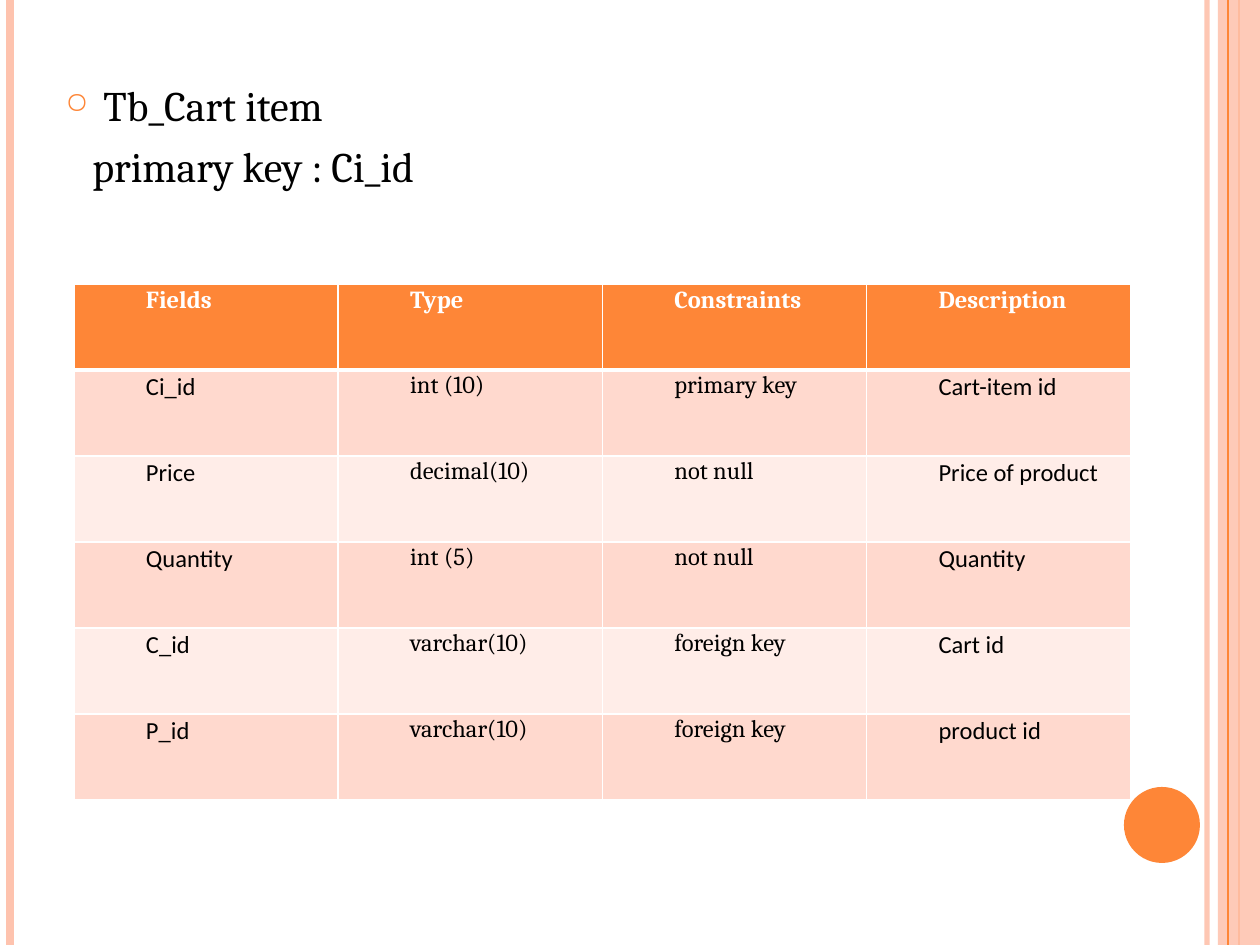
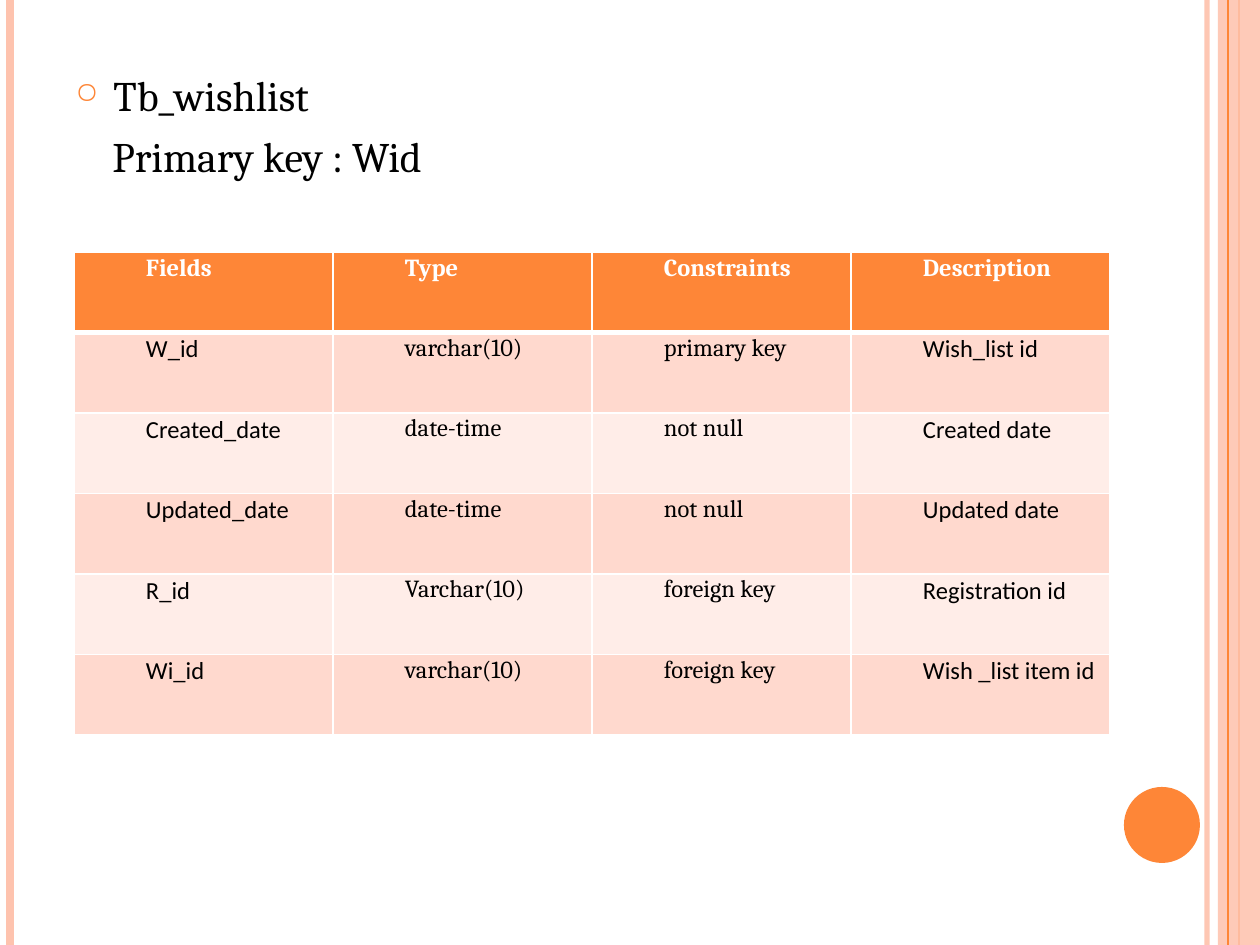
"""Build two slides describing the cart item and wishlist database tables."""
from lxml import etree
from pptx import Presentation
from pptx.dml.color import RGBColor
from pptx.enum.shapes import MSO_CONNECTOR, MSO_SHAPE
from pptx.enum.text import MSO_ANCHOR
from pptx.oxml.ns import qn
from pptx.util import Pt

LINE = MSO_CONNECTOR.STRAIGHT
RECT, OVAL = MSO_SHAPE.RECTANGLE, MSO_SHAPE.OVAL
TOP = MSO_ANCHOR.TOP

ORANGE = RGBColor(0xFE, 0x86, 0x37)
PEACH = RGBColor(0xFE, 0xC3, 0xAE)
BAND_DARK = RGBColor(0xFF, 0xD9, 0xCE)
BAND_LIGHT = RGBColor(0xFF, 0xED, 0xE8)
BLACK = RGBColor(0, 0, 0)
WHITE = RGBColor(0xFF, 0xFF, 0xFF)
SERIF, SANS = "Cambria", "Calibri"
COLUMN_FONTS = (SANS, SERIF, SERIF, SANS)

WIDTH, HEIGHT = 1260, 945
EMU_PER_PX = 914400 / 126
HEADER = ("Fields", "Type", "Constraints", "Description")

SLIDES = [
    {
        "heading": ("Tb_Cart item", "primary key : Ci_id"),
        "heading_box": (53, 73, 1029, 147),
        "key_indent": 27,
        "table_box": (74, 284, 1057, 516),
        "rows": [
            ("Ci_id", "int (10)", "primary key", "Cart-item id"),
            ("Price", "decimal(10)", "not null", "Price of product"),
            ("Quantity", "int (5)", "not null", "Quantity"),
            ("C_id", "varchar(10)", "foreign key", "Cart id"),
            ("P_id", "varchar(10)", "foreign key", "product id"),
        ],
    },
    {
        "heading": ("Tb_wishlist", "Primary key : Wid"),
        "heading_box": (63, 63, 1029, 672),
        "key_indent": 37,
        "table_box": (74, 252, 1036, 483),
        "rows": [
            ("W_id", "varchar(10)", "primary key", "Wish_list id"),
            ("Created_date", "date-time", "not null", "Created date"),
            ("Updated_date", "date-time", "not null", "Updated date"),
            ("R_id", "Varchar(10)", "foreign key", "Registration id"),
            ("Wi_id", "varchar(10)", "foreign key", "Wish _list item id"),
        ],
    },
]


def px(n):
    return round(n * EMU_PER_PX)


def box(sizes):
    return [px(n) for n in sizes]


def add(parent, tag, **attrs):
    return etree.SubElement(parent, qn(tag), {k: str(v) for k, v in attrs.items()})


def set_alpha(element, percent):
    for color in element.iter(qn("a:srgbClr")):
        add(color, "a:alpha", val=percent * 1000)


def set_indent(p, left, first=0):
    pPr = p._p.get_or_add_pPr()
    pPr.set("marL", str(px(left)))
    pPr.set("indent", str(px(first)))
    return pPr


def style_font(p, name, size, color, bold=False):
    p.font.name, p.font.size, p.font.bold = name, Pt(size), bold
    p.font.color.rgb = color


def add_rule(slide, x, color, width, alpha=100):
    line = slide.shapes.add_connector(LINE, px(x), 0, px(x), px(HEIGHT))
    line.line.color.rgb = color
    line.line.width = Pt(width)
    if alpha < 100:
        set_alpha(line.line._ln, alpha)
    add(line._element.spPr, "a:effectLst")


def add_solid(slide, kind, sizes, color, alpha=100):
    sp = slide.shapes.add_shape(kind, *box(sizes))
    sp.shadow.inherit = False
    sp.fill.solid()
    sp.fill.fore_color.rgb = color
    sp.line.fill.background()
    if alpha < 100:
        set_alpha(sp._element.spPr, alpha)


def add_frame(slide):
    add_rule(slide, 1207, PEACH, 3, 93)
    add_rule(slide, 10, PEACH, 4.5)
    add_rule(slide, 1239, ORANGE, 1.5)
    add_solid(slide, RECT, (1218, 0, 42, HEIGHT), PEACH, 87)
    add_rule(slide, 1228, ORANGE, 0.75)
    add_solid(slide, OVAL, (1124, 787, 76, 76), ORANGE)


def add_heading(slide, lines, sizes, key_indent):
    tf = slide.shapes.add_textbox(*box(sizes)).text_frame
    tf.word_wrap = True
    name, key = tf.paragraphs[0], tf.add_paragraph()
    name.text, key.text = lines
    pPr = set_indent(name, 38, -38)
    add(add(pPr, "a:buClr"), "a:srgbClr", val=ORANGE)
    add(pPr, "a:buSzPct", val=70000)
    add(pPr, "a:buChar", char="○")
    add(set_indent(key, key_indent), "a:buNone")
    key.space_before = Pt(6)
    for p in tf.paragraphs:
        style_font(p, SERIF, 24, BLACK)


def add_borders(cell, row):
    tcPr = cell._tc.get_or_add_tcPr()
    heavy = {0: "a:lnB", 1: "a:lnT"}.get(row)
    for side in ("a:lnL", "a:lnR", "a:lnT", "a:lnB"):
        ln = add(tcPr, side, w=Pt(3 if side == heavy else 1))
        add(add(ln, "a:solidFill"), "a:srgbClr", val=WHITE)


def fill_cell(cell, text, row, col):
    add_borders(cell, row)
    cell.fill.solid()
    cell.margin_left = cell.margin_right = px(9)
    cell.margin_top = cell.margin_bottom = 0
    cell.vertical_anchor = TOP
    p = cell.text_frame.paragraphs[0]
    p.text = text
    set_indent(p, 63)
    p.line_spacing = 1.07
    if row == 0:
        cell.fill.fore_color.rgb = ORANGE
        style_font(p, SERIF, 14, WHITE, True)
    else:
        cell.fill.fore_color.rgb = BAND_DARK if row % 2 else BAND_LIGHT
        style_font(p, COLUMN_FONTS[col], 14, BLACK)


def add_fields_table(slide, rows, sizes):
    cells = [HEADER, *rows]
    table = slide.shapes.add_table(len(cells), len(HEADER), *box(sizes)).table
    for column in table.columns:
        column.width = px(sizes[2] / len(HEADER))
    for row in table.rows:
        row.height = px(sizes[3] / len(cells))
    for r, texts in enumerate(cells):
        for c, text in enumerate(texts):
            fill_cell(table.cell(r, c), text, r, c)


def main():
    prs = Presentation()
    prs.slide_width, prs.slide_height = px(WIDTH), px(HEIGHT)
    for content in SLIDES:
        slide = prs.slides.add_slide(prs.slide_layouts[6])
        add_frame(slide)
        add_heading(slide, content["heading"], content["heading_box"], content["key_indent"])
        add_fields_table(slide, content["rows"], content["table_box"])
    prs.save("out.pptx")


if __name__ == "__main__":
    main()
